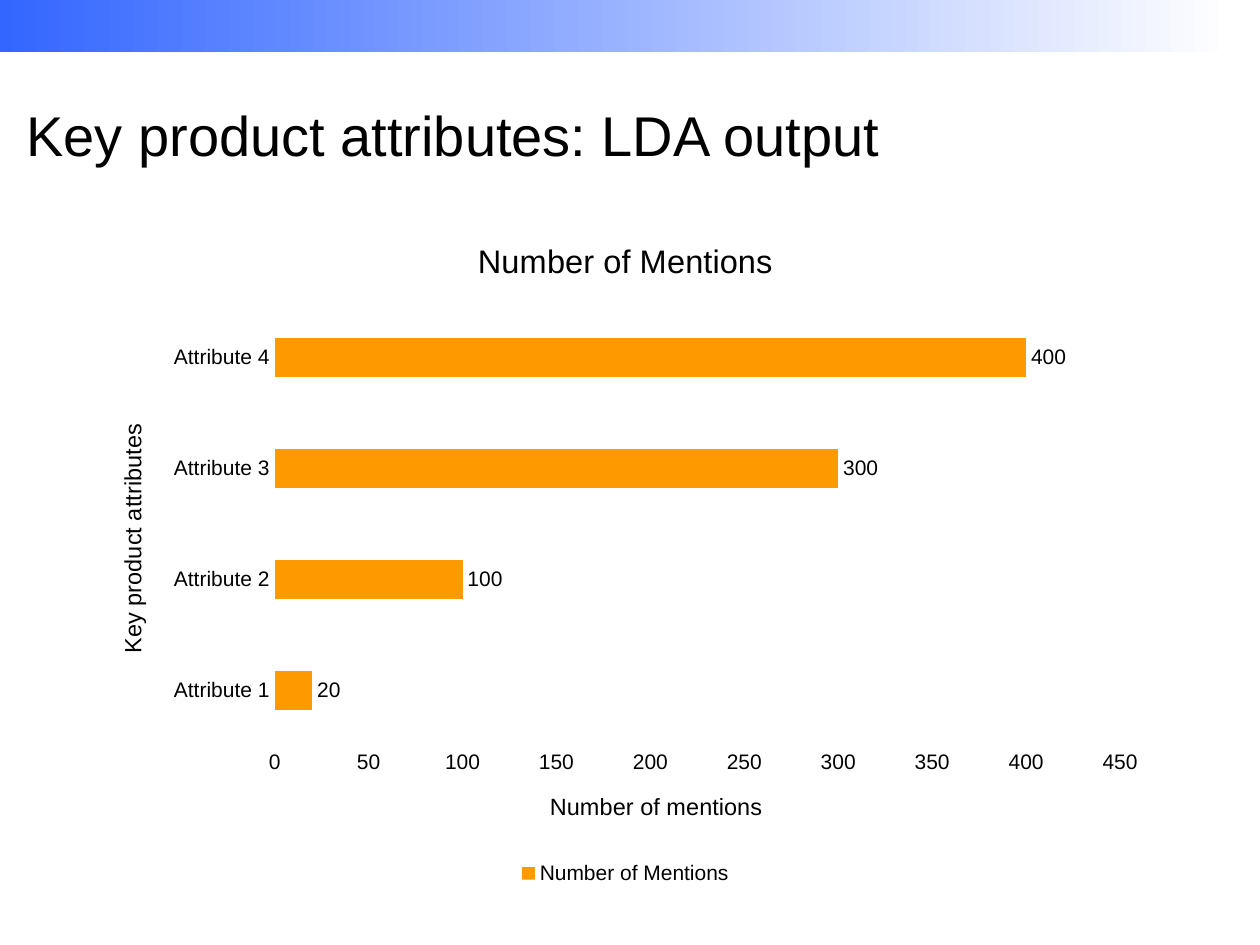
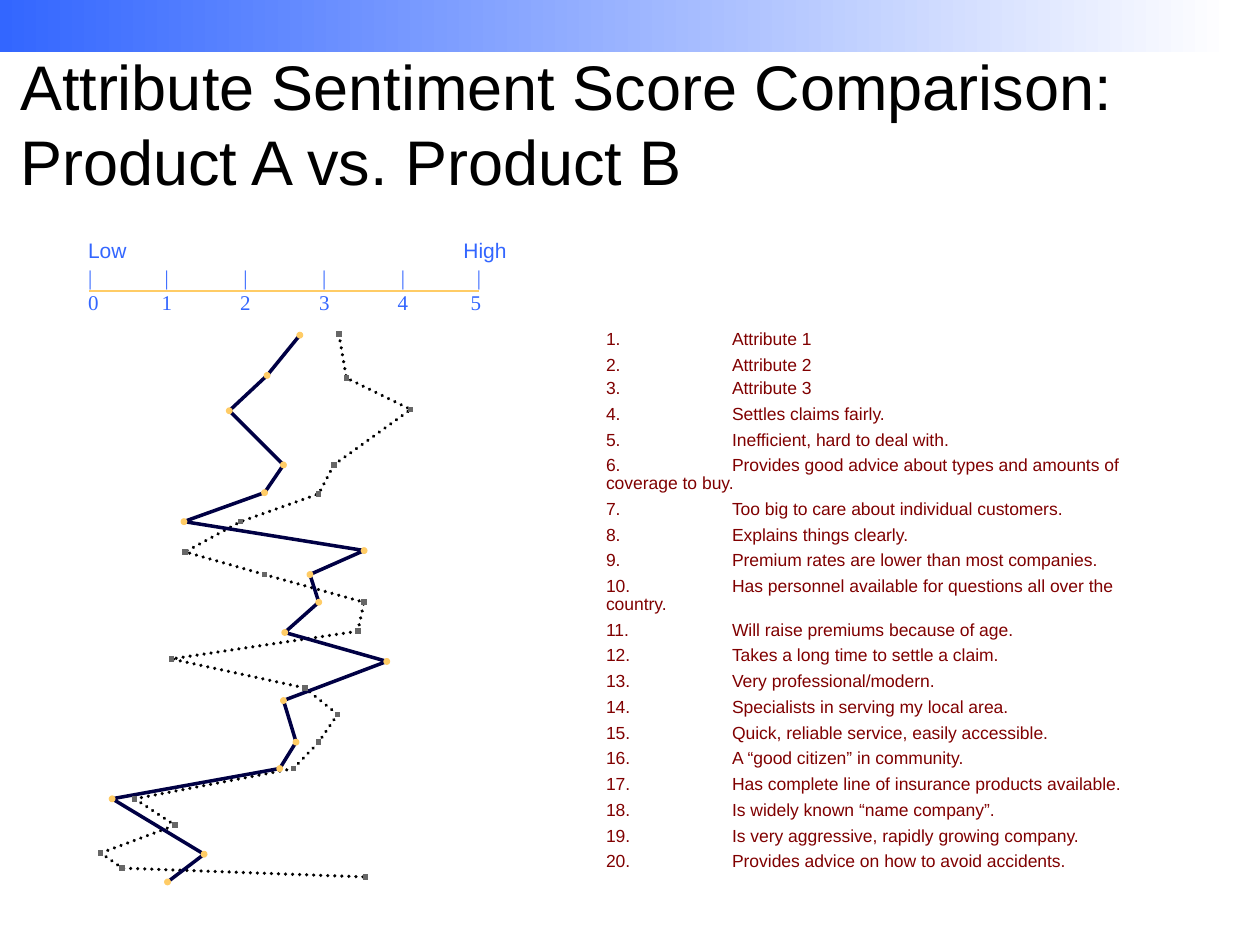
from dataclasses import dataclass

import lxml.etree
import pptx
import pptx.chart.data
import pptx.dml.color
import pptx.enum.chart
import pptx.enum.dml
import pptx.enum.shapes
import pptx.enum.text
import pptx.oxml.ns
import pptx.util

qn = pptx.oxml.ns.qn
Pt = pptx.util.Pt
SHAPE = pptx.enum.shapes.MSO_SHAPE
Point = tuple[float, float]
Box = tuple[float, float, float, float]


@dataclass(frozen=True)
class Theme:
    sans: str = "Arial"
    serif: str = "Times New Roman"
    black: str = "000000"
    white: str = "FFFFFF"
    blue: str = "3366FF"
    navy: str = "000044"
    maroon: str = "800000"
    orange: str = "FF9900"
    gold: str = "FFCC66"
    grey: str = "676767"
    list_size: float = 10
    label_size: float = 12
    axis_title_size: float = 13.4
    chart_title_size: float = 18.6


@dataclass(frozen=True)
class Profile:
    """One product's scores as a line with a marker on each point."""
    points: list[Point]
    color: str
    dash: pptx.enum.dml.MSO_LINE | None
    marker: SHAPE
    marker_size: float
    marker_color: str


T = Theme()


# ---- Shared helpers ----
def cm(inches: float) -> pptx.util.Length:
    """Slide layouts are planned on an inch grid."""
    return pptx.util.Cm(inches * 2.54)


def rgb(color: str) -> pptx.dml.color.RGBColor:
    return pptx.dml.color.RGBColor.from_string(color)


def set_font(font, size: float, color: str = T.black, name: str = T.sans) -> None:
    font.name, font.size, font.bold = name, Pt(size), False
    font.color.rgb = rgb(color)


def add_run(p, text: str, size: float, color: str = T.black, name: str = T.sans) -> None:
    r = p.add_run()
    r.text = text
    set_font(r.font, size, color, name)


def place(sp, box: Box) -> None:
    sp.left, sp.top, sp.width, sp.height = map(cm, box)


def set_line(line, color: str, width: float) -> None:
    line.color.rgb = rgb(color)
    line.width = Pt(width)


def set_tabs(p, stops: list[tuple[float, str]]) -> None:
    tabs = lxml.etree.SubElement(p._p.get_or_add_pPr(), qn("a:tabLst"))
    for pos, align in stops:
        lxml.etree.SubElement(tabs, qn("a:tab"), pos=str(int(cm(pos))), algn=align)


def set_title(s, text: str, box: Box, size: float) -> None:
    sp = s.shapes.title
    place(sp, box)
    tf = sp.text_frame
    tf.auto_size = pptx.enum.text.MSO_AUTO_SIZE.NONE
    tf.vertical_anchor = pptx.enum.text.MSO_ANCHOR.MIDDLE
    p = tf.paragraphs[0]
    p.alignment = pptx.enum.text.PP_ALIGN.LEFT
    add_run(p, text, size)


def add_band(prs, s) -> None:
    """Draw the gradient band and move it to the master, behind everything."""
    sp = s.shapes.add_shape(SHAPE.RECTANGLE, 0, 0, cm(9.77), cm(0.41))
    sp.shadow.inherit = False
    sp.line.fill.background()
    sp.fill.gradient()
    sp.fill.gradient_angle = 0
    for stop, color, pos in zip(sp.fill.gradient_stops, (T.blue, T.white), (0, 1)):
        stop.color.rgb = rgb(color)
        stop.position = pos
    prs.slide_master.shapes.element.insert(2, sp.element)


# ---- Bar chart ----
CHART_BOX = (0.73, 1.69, 8.47, 5.37)


def set_layout(parent, index: int, x: float, y: float, *size: float) -> None:
    """Fix a chart part's place; slide inches become fractions of the chart."""
    left, top, width, height = CHART_BOX
    values = {"x": (x - left) / width, "y": (y - top) / height}
    if size:
        values |= {"w": size[0] / width, "h": size[1] / height}
    for old in parent.findall(qn("c:layout")):
        parent.remove(old)
    layout = lxml.etree.Element(qn("c:layout"))
    parent.insert(index, layout)
    manual = lxml.etree.SubElement(layout, qn("c:manualLayout"))
    if size:
        lxml.etree.SubElement(manual, qn("c:layoutTarget"), val="inner")
    for key in ("x", "y"):
        lxml.etree.SubElement(manual, qn(f"c:{key}Mode"), val="edge")
    for key, value in values.items():
        lxml.etree.SubElement(manual, qn(f"c:{key}"), val=f"{value:.4f}")


def set_axis(axis, text: str, x: float, y: float) -> None:
    axis.major_tick_mark = axis.minor_tick_mark = pptx.enum.chart.XL_TICK_MARK.NONE
    set_font(axis.tick_labels.font, T.label_size)
    add_run(axis.axis_title.text_frame.paragraphs[0], text, T.axis_title_size)
    set_layout(axis.axis_title.element, 1, x, y)


def add_mentions_chart(s) -> None:
    data = pptx.chart.data.CategoryChartData()
    data.categories = [f"Attribute {n}" for n in range(1, 5)]
    data.add_series("Number of Mentions", (20, 100, 300, 400))
    chart = s.shapes.add_chart(pptx.enum.chart.XL_CHART_TYPE.BAR_CLUSTERED,
                               *map(cm, CHART_BOX), data).chart
    set_font(chart.font, T.list_size)
    chart.has_title = True
    add_run(chart.chart_title.text_frame.paragraphs[0], "Number of Mentions",
            T.chart_title_size)
    chart.has_legend = True
    chart.legend.position = pptx.enum.chart.XL_LEGEND_POSITION.BOTTOM
    chart.legend.include_in_layout = False
    set_font(chart.legend.font, T.label_size)

    # Axes
    cat, val = chart.category_axis, chart.value_axis
    set_axis(cat, "Key product attributes", 0.9, 3.33)
    cat.axis_title.element.find(".//" + qn("a:bodyPr")).set("rot", "-5400000")
    set_line(cat.format.line, T.white, 0.75)
    set_axis(val, "Number of mentions", 4.33, 6.25)
    val.minimum_scale, val.maximum_scale, val.major_unit = 0, 450, 50
    val.format.line.fill.background()
    val.has_major_gridlines = True
    set_line(val.major_gridlines.format.line, T.white, 0.75)
    set_layout(chart.element.find(".//" + qn("c:plotArea")), 0, 2.18, 2.4, 6.71, 3.52)

    # Bars and their labels
    plot = chart.plots[0]
    plot.gap_width, plot.vary_by_categories = 182, False
    fill = plot.series[0].format.fill
    fill.solid()
    fill.fore_color.rgb = rgb(T.orange)
    plot.has_data_labels = True
    labels = plot.data_labels
    labels.show_value = True
    labels.position = pptx.enum.chart.XL_LABEL_POSITION.OUTSIDE_END
    set_font(labels.font, T.label_size)


# ---- Score comparison ----
STATEMENTS = [
    "Attribute 1",
    "Attribute 2",
    "Attribute 3",
    "Settles claims fairly.",
    "Inefficient, hard to deal with.",
    "Provides good advice about types and amounts of coverage to buy.",
    "Too big to care about individual customers.",
    "Explains things clearly.",
    "Premium rates are lower than most companies.",
    "Has personnel available for questions all over the country.",
    "Will raise premiums because of age.",
    "Takes a long time to settle a claim.",
    "Very professional/modern.",
    "Specialists in serving my local area.",
    "Quick, reliable service, easily accessible.",
    "A “good citizen” in community.",
    "Has complete line of insurance products available.",
    "Is widely known “name company”.",
    "Is very aggressive, rapidly growing company.",
    "Provides advice on how to avoid accidents.",
]
TIGHT_ITEMS = (2, 20)

PROFILES = [
    Profile([(2.69, 2.65), (2.75, 3), (3.26, 3.25), (2.65, 3.69), (2.53, 3.92),
             (1.91, 4.14), (1.47, 4.38), (2.1, 4.56), (2.89, 4.78), (2.84, 5.01),
             (1.36, 5.23), (2.42, 5.46), (2.68, 5.67), (2.53, 5.89), (2.33, 6.1),
             (1.07, 6.34), (1.39, 6.55), (0.8, 6.77), (0.97, 6.89), (2.9, 6.96)],
            T.black, pptx.enum.dml.MSO_LINE.ROUND_DOT, SHAPE.RECTANGLE, 0.03, T.grey),
    Profile([(2.38, 2.66), (2.12, 2.98), (1.82, 3.26), (2.25, 3.69), (2.1, 3.91),
             (1.46, 4.14), (2.89, 4.37), (2.46, 4.56), (2.53, 4.78), (2.26, 5.02),
             (3.07, 5.25), (2.25, 5.56), (2.35, 5.89), (2.22, 6.1), (0.89, 6.34),
             (1.62, 6.78), (1.33, 7)],
            T.navy, None, SHAPE.OVAL, 0.04, T.gold),
]


def add_statements(s) -> None:
    sp = s.placeholders[1]
    place(sp, (4.33, 2.58, 5.08, 4.57))
    tf = sp.text_frame
    tf.auto_size = pptx.enum.text.MSO_AUTO_SIZE.NONE
    for n, text in enumerate(STATEMENTS, 1):
        p = tf.paragraphs[0] if n == 1 else tf.add_paragraph()
        p.line_spacing = 0.85
        p.space_before = Pt(2)
        p.space_after = Pt(1 if n in TIGHT_ITEMS else 2.5)
        pPr = p._p.get_or_add_pPr()
        for key, length in (("marL", 0.38), ("indent", -0.38), ("defTabSz", 1)):
            pPr.set(key, str(int(cm(length))))
        lxml.etree.SubElement(pPr, qn("a:buNone"))
        set_tabs(p, [(0.21, "dec"), (1.38, "l")])
        add_run(p, f"\t{n}.\t{text}", T.list_size, T.maroon)


def add_scale(s) -> None:
    tf = s.shapes.add_textbox(*map(cm, (0.6, 1.87, 4.01, 0.73))).text_frame
    tf.word_wrap = True
    ticks = [(0.625 * i, "ctr") for i in range(1, 5)] + [(3.12, "r")]
    rows = [
        ("Low\tHigh", T.sans, [(2.98, "l")], 3),
        ("\t".join("|" * 6), T.serif, ticks, 2),
        ("\t".join("012345"), T.serif, ticks, 2),
    ]
    for i, (text, font, stops, after) in enumerate(rows):
        p = tf.add_paragraph() if i else tf.paragraphs[0]
        p.line_spacing, p.space_after = 0.85, Pt(after)
        set_tabs(p, stops)
        add_run(p, text, T.label_size, T.blue, font)


def add_scale_line(s) -> None:
    line = s.shapes.add_connector(pptx.enum.shapes.MSO_CONNECTOR.STRAIGHT,
                                  *map(cm, (0.71, 2.31, 3.8, 2.31)))
    set_line(line.line, T.gold, 1)
    lxml.etree.SubElement(line.element.spPr, qn("a:effectLst"))


def add_profile_line(s, profile: Profile) -> None:
    start, *rest = [(cm(x), cm(y)) for x, y in profile.points]
    builder = s.shapes.build_freeform(*start)
    builder.add_line_segments(rest, close=False)
    sp = builder.convert_to_shape()
    sp.shadow.inherit = False
    sp.fill.background()
    set_line(sp.line, profile.color, 2)
    if profile.dash is not None:
        sp.line.dash_style = profile.dash
        sp.element.spPr.find(qn("a:ln")).set("cap", "rnd")


def add_markers(s, profile: Profile) -> None:
    size = profile.marker_size
    for x, y in profile.points:
        sp = s.shapes.add_shape(profile.marker, cm(x - size / 2), cm(y - size / 2),
                                cm(size), cm(size))
        sp.shadow.inherit = False
        sp.fill.solid()
        sp.fill.fore_color.rgb = rgb(profile.marker_color)
        set_line(sp.line, profile.marker_color, 1)
        lxml.etree.SubElement(sp.element.spPr.find(qn("a:ln")), qn("a:miter"), lim="800000")


# ---- Build the slides ----
prs = pptx.Presentation()
prs.slide_width, prs.slide_height = cm(10), cm(7.5)

s = prs.slides.add_slide(prs.slide_layouts.get_by_name("Title Only"))
add_band(prs, s)
set_title(s, "Key product attributes: LDA output", (0.11, 0.44, 7.47, 1.25), 32)
add_mentions_chart(s)

s = prs.slides.add_slide(prs.slide_layouts.get_by_name("Title and Content"))
set_title(s, "Attribute Sentiment Score Comparison: Product A vs. Product B",
          (0.06, 0.35, 9.79, 1.25), 36)
add_statements(s)
add_scale(s)
for profile in PROFILES:
    add_profile_line(s, profile)
for profile in reversed(PROFILES):
    add_markers(s, profile)
add_scale_line(s)

prs.save("out.pptx")
